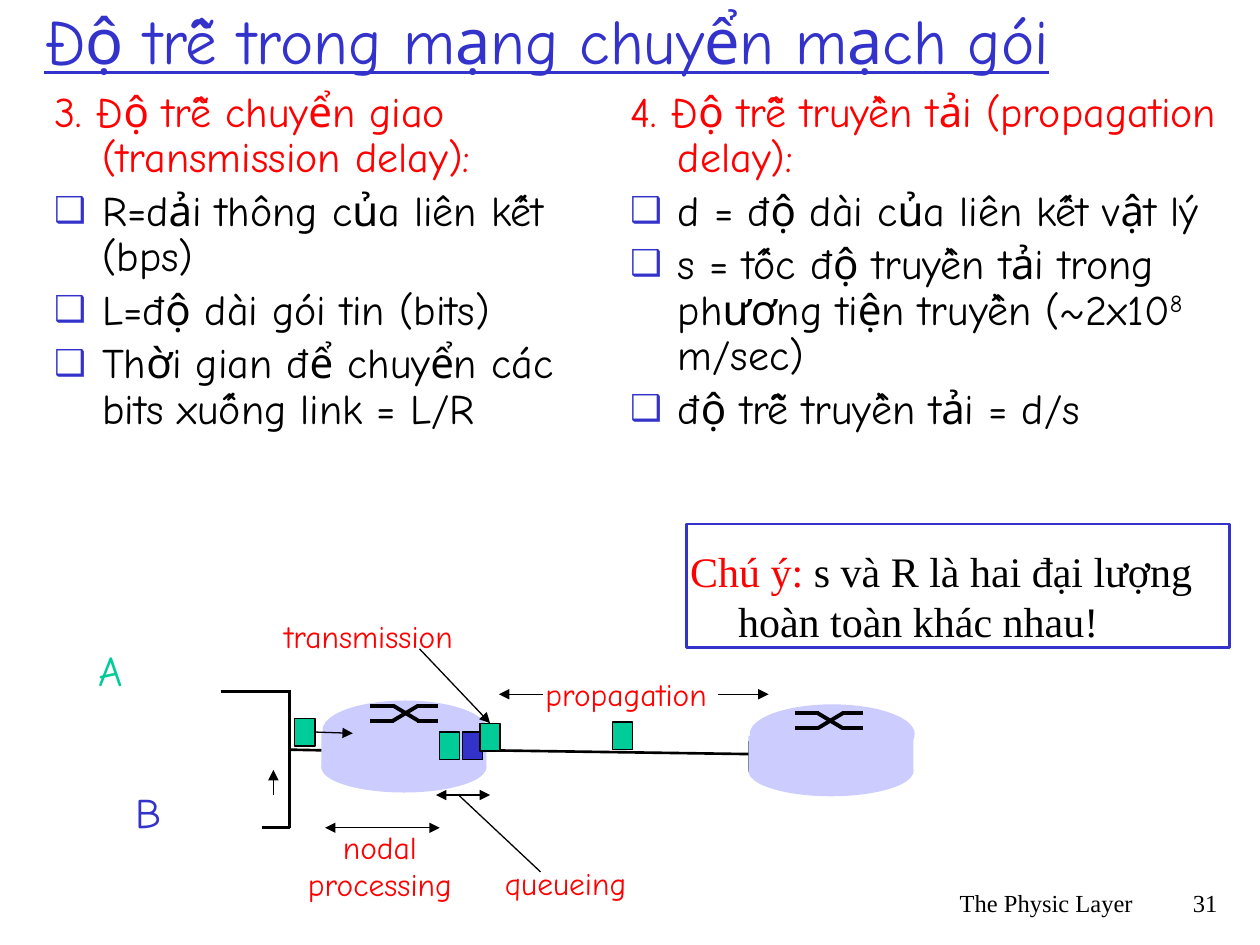
from lxml.etree import SubElement
from pptx import Presentation
from pptx.dml.color import RGBColor
from pptx.enum.shapes import MSO_CONNECTOR, MSO_SHAPE
from pptx.enum.text import MSO_ANCHOR, MSO_AUTO_SIZE, PP_ALIGN
from pptx.oxml.ns import qn
from pptx.util import Inches, Pt

COMIC, TIMES = "Comic Neue", "Times New Roman"
BLACK, RED, BLUE, GREEN, LILAC = "000000", "FF0000", "3333CC", "00CC99", "CCCCFF"
hue = RGBColor.from_string


def write(par, text, size, color, face=COMIC):
    """Add one formatted run to a paragraph."""
    run = par.add_run()
    run.text = text
    run.font.size = Pt(size)
    run.font.name = face
    run.font.color.rgb = hue(color)
    return run


def wire(x1, y1, x2, y2, width=0.75, heads=()):
    """Draw a straight black line, with arrowheads at the ends in heads."""
    link = shapes.add_connector(MSO_CONNECTOR.STRAIGHT, Inches(x1), Inches(y1),
                                Inches(x2), Inches(y2))
    link.line.width = Pt(width)
    link.line.color.rgb = hue(BLACK)
    for end in heads:
        SubElement(link.line._get_or_add_ln(), qn("a:" + end), type="triangle")
    SubElement(link._element.spPr, qn("a:effectLst"))
    return link


deck = Presentation()
deck.slide_width, deck.slide_height = Inches(10), Inches(7.5)
slide = deck.slides.add_slide(deck.slide_layouts[3])
shapes = slide.shapes

# Footer
for left, width, text in [(5.92, 3.17, "The Physic Layer"), (9.08, 0.68, "31")]:
    box = shapes.add_textbox(Inches(left), Inches(7), Inches(width), Inches(0.5))
    box.text_frame.word_wrap = True
    par = box.text_frame.paragraphs[0]
    par.alignment = PP_ALIGN.RIGHT
    write(par, text, 14, BLACK, TIMES)

# Title
title = shapes.title
title.left, title.top = Inches(0.25), Inches(-0.17)
title.width, title.height = Inches(9.48), Inches(0.96)
frame = title.text_frame
frame.auto_size = MSO_AUTO_SIZE.NONE
frame.vertical_anchor = MSO_ANCHOR.MIDDLE
par = frame.paragraphs[0]
par.alignment = PP_ALIGN.LEFT
write(par, "Độ trễ trong mạng chuyển mạch gói", 36, BLUE).font.underline = True

# Two lists: a red heading, then bulleted items made of runs
lists = [
    (1, 0.33, 4.25, 3, [
        ["3. Độ trễ chuyển giao (transmission delay):"],
        ["R=dải thông của liên kết (bps)"],
        ["L=độ dài gói tin (bits)"],
        ["Thời gian để chuyển các bits xuống link = L/R"]]),
    (2, 4.9, 5.1, 5.58, [
        ["4. Độ trễ truyền tải (propagation delay):"],
        ["d = độ dài của liên kết vật lý"],
        ["s = tốc độ truyền tải trong phương tiện truyền (~2x10", "8", " m/sec)"],
        ["độ trễ truyền tải = d/s"]]),
]
for key, left, width, height, items in lists:
    body = slide.placeholders[key]
    body.left, body.top = Inches(left), Inches(0.67)
    body.width, body.height = Inches(width), Inches(height)
    frame = body.text_frame
    frame.auto_size = MSO_AUTO_SIZE.NONE
    for row, parts in enumerate(items):
        par = frame.add_paragraph() if row else frame.paragraphs[0]
        par.line_spacing = 0.9
        par.space_before = Pt(4.8 if row else 0)
        props = par._p.get_or_add_pPr()
        props.set("marL", str(Inches(0.38)))
        props.set("indent", str(Inches(-0.38)))
        if row:
            tint = SubElement(props, qn("a:buClr"))
            SubElement(tint, qn("a:srgbClr"), val=BLUE)
            SubElement(props, qn("a:buSzPct"), val="85000")
            SubElement(props, qn("a:buChar"), char="❑")
        else:
            SubElement(props, qn("a:buNone"))
        for spot, text in enumerate(parts):
            run = write(par, text, 24, BLACK if row else RED)
            if spot == 1:
                run._r.get_or_add_rPr().set("baseline", "30000")

# Routers: a flat drum with a crossed switch sign
wire(5.94, 5.88, 5.94, 6.13, 1)
drum = [(MSO_SHAPE.OVAL, 0, 0.33, 0.4), (MSO_SHAPE.RECTANGLE, 0, 0.25, 0.29),
        (MSO_SHAPE.OVAL, 0.01, 0, 0.47)]
sign = [(0, 0, 0.19, 0), (0.37, 0.12, 0.54, 0.12), (0.18, 0, 0.38, 0.12),
        (0, 0.12, 0.19, 0.12), (0.37, 0, 0.54, 0), (0.18, 0.12, 0.38, 0)]
hubs = []
for left, top, x, y in [(2.55, 5.56, 2.94, 5.6), (5.94, 5.59, 6.31, 5.66)]:
    for kind, dx, dy, height in drum:
        part = shapes.add_shape(kind, Inches(left + dx), Inches(top + dy),
                                Inches(1.31), Inches(height))
        part.shadow.inherit = False
        part.fill.solid()
        part.fill.fore_color.rgb = hue(LILAC)
        part.line.fill.background()
        if kind == MSO_SHAPE.RECTANGLE:
            hubs.append(part)
    for x1, y1, x2, y2 in sign:
        wire(x + x1, y + y1, x + x2, y + y2, 2.25)

# Links from the hosts and between the routers
for ends in [(1.75, 5.49, 2.3, 5.49), (2.08, 6.57, 2.3, 6.57), (2.3, 5.48, 2.3, 6.57)]:
    wire(*ends, 1.5)
wire(2.31, 5.95, 2.55, 5.95, 1.5).end_connect(hubs[0], 1)
trunk = wire(3.86, 5.95, 5.94, 5.98, 1.5)
trunk.begin_connect(hubs[0], 3)
trunk.end_connect(hubs[1], 1)

# Packets
packs = []
for left, top, color in [(4.86, 5.73, GREEN), (3.49, 5.81, GREEN), (3.67, 5.81, BLUE),
                         (2.34, 5.7, GREEN), (3.81, 5.74, GREEN)]:
    pack = shapes.add_shape(MSO_SHAPE.RECTANGLE, Inches(left), Inches(top),
                            Inches(0.16), Inches(0.22))
    pack.shadow.inherit = False
    pack.fill.solid()
    pack.fill.fore_color.rgb = hue(color)
    pack.line.color.rgb = hue(BLACK)
    pack.line.width = Pt(0.75)
    packs.append(pack)

# Arrows
one, both = ["tailEnd"], ["headEnd", "tailEnd"]
wire(2.5, 5.81, 2.8, 5.82, heads=one).begin_connect(packs[3], 3)
wire(3.33, 5.15, 3.89, 5.74, heads=one).end_connect(packs[4], 0)
for ends, heads in [((2.17, 6.31, 2.17, 6.11), one), ((5.7, 5.51, 6.1, 5.51), one),
                    ((4.31, 5.51, 3.96, 5.51), one), ((3.49, 6.57, 2.58, 6.57), both),
                    ((3.89, 6.31, 3.46, 6.31), both), ((4.29, 6.92, 3.64, 6.31), ())]:
    wire(*ends, heads=heads)

# Labels
for left, top, width, height, size, color, rows in [
        (0.68, 5.07, 0.44, 0.5, 24, GREEN, ["A"]),
        (0.98, 6.19, 0.41, 0.5, 24, BLUE, ["B"]),
        (4.23, 5.31, 1.56, 0.4, 18, RED, ["propagation"]),
        (2.16, 4.85, 1.66, 0.4, 18, RED, ["transmission"]),
        (2.3, 6.52, 1.43, 0.7, 18, RED, ["nodal", "processing"]),
        (3.91, 6.81, 1.2, 0.4, 18, RED, ["queueing"])]:
    box = shapes.add_textbox(Inches(left), Inches(top), Inches(width), Inches(height))
    frame = box.text_frame
    frame.word_wrap = False
    for row, text in enumerate(rows):
        par = frame.add_paragraph() if row else frame.paragraphs[0]
        par.alignment = PP_ALIGN.CENTER if len(rows) > 1 else PP_ALIGN.LEFT
        write(par, text, size, color)

# Note and its border
note = shapes.add_textbox(Inches(5.38), Inches(4.28), Inches(4.54), Inches(0.93))
note.text_frame.word_wrap = True
par = note.text_frame.paragraphs[0]
props = par._p.get_or_add_pPr()
props.set("marL", str(Inches(0.38)))
props.set("indent", str(Inches(-0.38)))
write(par, "Chú ý: ", 24, RED, TIMES)
write(par, "s và R là hai đại lượng hoàn toàn khác nhau!", 24, BLACK, TIMES)
edge = shapes.add_shape(MSO_SHAPE.RECTANGLE, Inches(5.45), Inches(4.16),
                        Inches(4.31), Inches(0.98))
edge.shadow.inherit = False
edge.fill.background()
edge.line.color.rgb = hue(BLUE)
edge.line.width = Pt(1.5)

deck.save("out.pptx")
